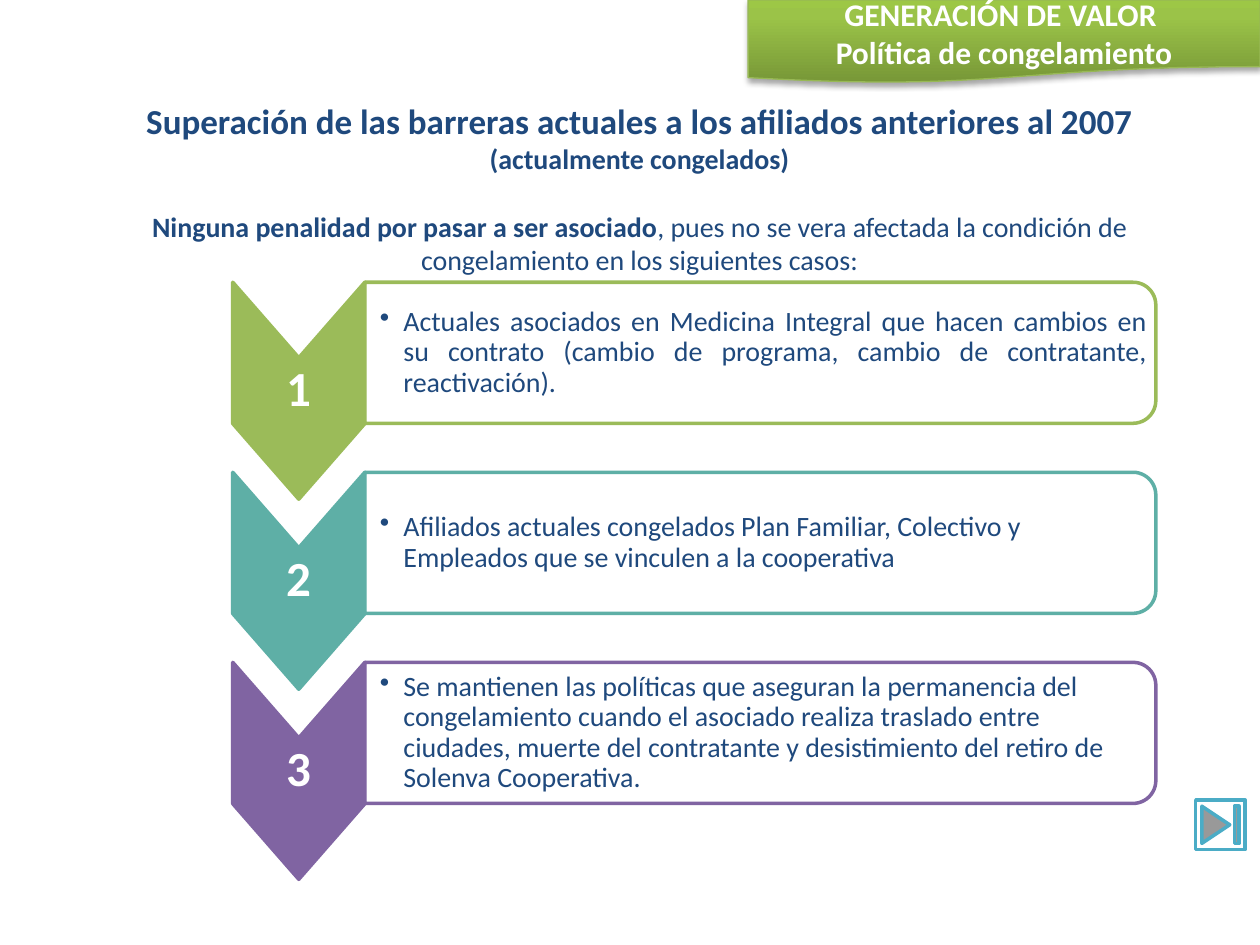
from math import cos, pi, sin

from lxml.etree import SubElement
from pptx import Presentation
from pptx.dml.color import RGBColor
from pptx.enum.shapes import MSO_SHAPE as Preset
from pptx.enum.text import MSO_ANCHOR as Anchor, MSO_AUTO_SIZE as AutoSize, PP_ALIGN as Align
from pptx.oxml import parse_xml
from pptx.oxml.ns import nsdecls, qn
from pptx.util import Pt

WHITE = RGBColor(0xFF, 0xFF, 0xFF)
NAVY = RGBColor(0x1F, 0x49, 0x7D)
GREEN = RGBColor(0x9B, 0xBB, 0x59)
TEAL = RGBColor(0x5E, 0xAF, 0xA6)
PURPLE = RGBColor(0x80, 0x64, 0xA2)
SKY = RGBColor(0x4B, 0xAC, 0xC6)
BANNER_EDGE = RGBColor(0x98, 0xB9, 0x55)
BANNER_STOPS = [
    (0, RGBColor(0x77, 0x97, 0x37)),
    (80, RGBColor(0x9B, 0xC3, 0x48)),
    (100, RGBColor(0x9D, 0xC7, 0x46)),
]

CASES = [
    (GREEN, Align.JUSTIFY, "Actuales asociados en Medicina Integral que hacen cambios en su contrato "
     "(cambio de programa, cambio de contratante, reactivación)."),
    (TEAL, Align.LEFT, "Afiliados actuales congelados Plan Familiar, Colectivo y Empleados "
     "que se vinculen a la cooperativa"),
    (PURPLE, Align.LEFT, "Se mantienen las políticas que aseguran la permanencia del congelamiento "
     "cuando el asociado realiza traslado entre ciudades, muerte del contratante y "
     "desistimiento del retiro de Solenva Cooperativa."),
]


def set_all(target, formats):
    for key, value in formats.items():
        setattr(target, key, value)


def add_run(paragraph, text, size, color, bold):
    run = paragraph.add_run()
    run.text = text
    set_all(run.font, {"name": "Calibri", "size": Pt(size), "bold": bold})
    run.font.color.rgb = color


def set_frame(frame, left, top, right, bottom, anchor=Anchor.MIDDLE):
    set_all(frame, {
        "margin_left": Pt(left), "margin_top": Pt(top),
        "margin_right": Pt(right), "margin_bottom": Pt(bottom),
        "word_wrap": True, "vertical_anchor": anchor,
    })


def paint(shape, fill, line, width):
    shape.shadow.inherit = False
    shape.fill.solid()
    shape.fill.fore_color.rgb = fill
    shape.line.color.rgb = line
    shape.line.width = Pt(width)


def add_outline(slide, points):
    scaled = [(Pt(x), Pt(y)) for x, y in points]
    builder = slide.shapes.build_freeform(*scaled[0])
    builder.add_line_segments(scaled[1:], close=True)
    return builder.convert_to_shape()


def add_banner(slide, left, top, width, height):
    banner = slide.shapes.add_shape(
        Preset.FLOWCHART_DOCUMENT, Pt(left), Pt(top), Pt(width), Pt(height))
    paint(banner, GREEN, BANNER_EDGE, 0.75)
    properties = banner.fill._xPr
    stops = "".join(
        f'<a:gs pos="{position * 1000}"><a:srgbClr val="{color}"/></a:gs>'
        for position, color in BANNER_STOPS)
    properties.replace(properties.find(qn("a:solidFill")), parse_xml(
        f'<a:gradFill {nsdecls("a")} rotWithShape="1"><a:gsLst>{stops}</a:gsLst>'
        '<a:lin ang="16200000" scaled="0"/></a:gradFill>'))
    properties.find(qn("a:effectLst")).append(parse_xml(
        f'<a:outerShdw {nsdecls("a")} blurRad="{Pt(3.1)}" dist="{Pt(1.8)}" dir="5400000" '
        'rotWithShape="0"><a:srgbClr val="000000"><a:alpha val="35000"/></a:srgbClr></a:outerShdw>'))
    frame = banner.text_frame
    set_frame(frame, 7.2, 3.6, 7.2, 3.6)
    titles = ["GENERACIÓN DE VALOR ", "Política de congelamiento"]
    for index, title in enumerate(titles):
        paragraph = frame.add_paragraph() if index else frame.paragraphs[0]
        paragraph.alignment = Align.CENTER
        add_run(paragraph, title, 18, WHITE, True)


def add_heading(slide, left, top, width, height):
    frame = slide.shapes.add_textbox(Pt(left), Pt(top), Pt(width), Pt(height)).text_frame
    set_frame(frame, 7.2, 3.6, 7.2, 3.6, Anchor.TOP)
    frame.auto_size = AutoSize.SHAPE_TO_FIT_TEXT
    title, condition = frame.paragraphs[0], frame.add_paragraph()
    title.alignment = condition.alignment = Align.CENTER
    condition.space_before = Pt(19.5)
    add_run(title, "Superación de las barreras actuales a los afiliados anteriores al 2007 ",
            20, NAVY, True)
    add_run(title, "(actualmente congelados)", 16, NAVY, True)
    add_run(condition, "Ninguna penalidad por pasar a ser asociado", 16, NAVY, True)
    add_run(condition, ", pues no se vera afectada la condición de congelamiento "
            "en los siguientes casos:", 16, NAVY, False)


def add_chevron(slide, left, top, width, height, number, color):
    notch = 43.2
    center, right, bottom = left + width / 2, left + width, top + height
    chevron = add_outline(slide, [
        (right, top), (right, bottom - notch), (center, bottom),
        (left, bottom - notch), (left, top), (center, top + notch)])
    paint(chevron, color, color, 2)
    set_frame(chevron.text_frame, 1.4, notch, 1.4, notch)
    paragraph = chevron.text_frame.paragraphs[0]
    set_all(paragraph, {"alignment": Align.CENTER, "line_spacing": 0.9})
    add_run(paragraph, str(number), 28, WHITE, True)


def add_panel(slide, left, top, width, height, text, color, alignment):
    radius, steps = 13, 12
    right, bottom = left + width, top + height
    angles = [pi / 2 * step / steps for step in range(steps + 1)]
    upper = [(right - radius + radius * sin(a), top + radius - radius * cos(a)) for a in angles]
    lower = [(right - radius + radius * cos(a), bottom - radius + radius * sin(a)) for a in angles]
    panel = add_outline(slide, [(left, top), *upper, *lower, (left, bottom)])
    paint(panel, WHITE, color, 2)
    fill_color = panel.fill._xPr.find(qn("a:solidFill"))[0]
    SubElement(fill_color, qn("a:alpha"), val="90000")
    set_frame(panel.text_frame, 8.6, 5, 5, 5)
    paragraph = panel.text_frame.paragraphs[0]
    set_all(paragraph, {"alignment": alignment, "line_spacing": 0.9})
    add_run(paragraph, text, 16, NAVY, False)
    bullet = paragraph._p.get_or_add_pPr()
    bullet.set("marL", str(Pt(13.5)))
    bullet.set("indent", str(-Pt(13.5)))
    SubElement(bullet, qn("a:buChar"), char="•")


def add_cases(slide, left, top, width, pitch):
    chevron_width, chevron_height, panel_height = 75.5, 124, 80.6
    for index, (color, alignment, text) in enumerate(CASES):
        row_top = top + index * pitch
        add_chevron(slide, left, row_top, chevron_width, chevron_height, index + 1, color)
        add_panel(slide, left + chevron_width, row_top, width - chevron_width,
                  panel_height, text, color, alignment)


def add_end_button(slide, left, top, side):
    button = slide.shapes.add_shape(
        Preset.ACTION_BUTTON_END, Pt(left), Pt(top), Pt(side), Pt(side))
    paint(button, WHITE, SKY, 2)


def main():
    deck = Presentation()
    deck.slide_width, deck.slide_height = Pt(720), Pt(540)
    slide = deck.slides.add_slide(deck.slide_layouts[6])
    add_banner(slide, 427.5, 0, 292.5, 47.5)
    add_cases(slide, 133, 161.3, 527.5, 108.6)
    add_heading(slide, 48, 53.3, 635, 108.7)
    add_end_button(slide, 683.3, 457.2, 28.3)
    deck.save("out.pptx")


if __name__ == "__main__":
    main()
